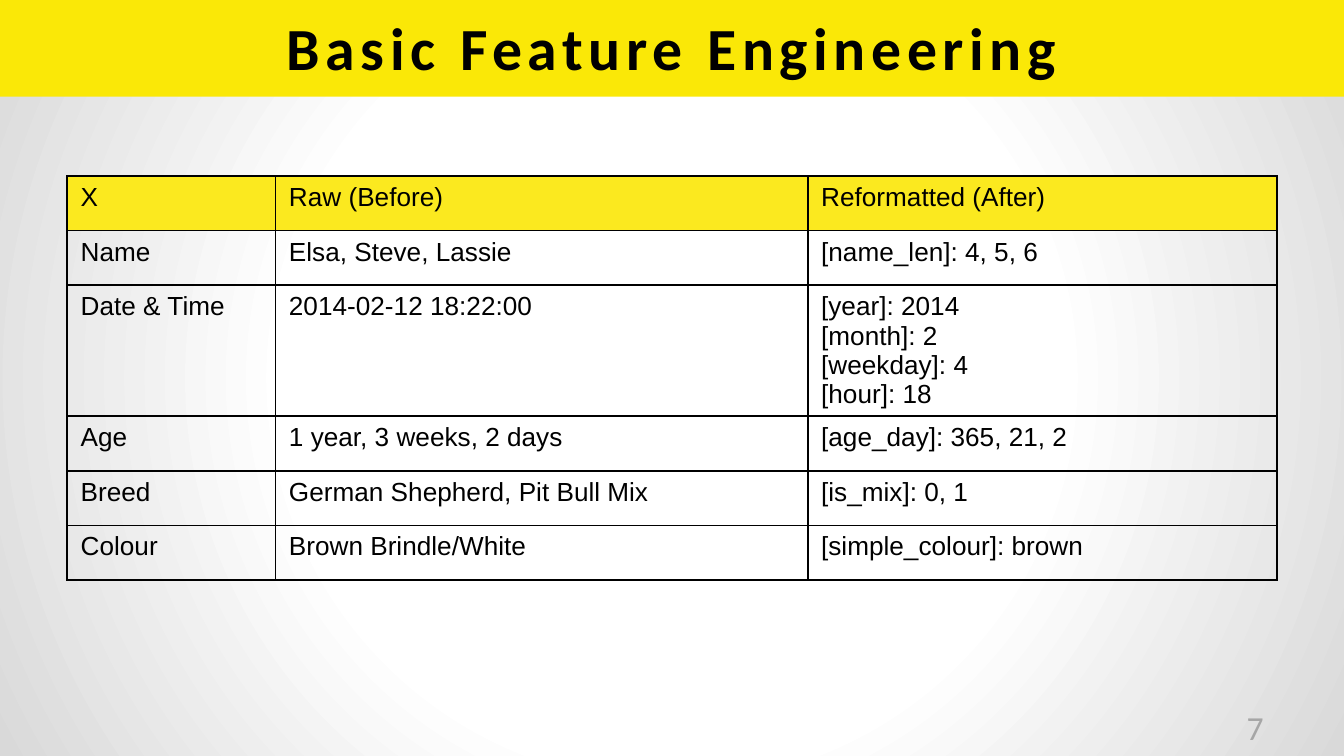
import pptx
import pptx.dml.color
import pptx.enum.shapes
import pptx.enum.text
import pptx.oxml
import pptx.oxml.ns
import pptx.util
from pptx.util import Inches

ALIGN = pptx.enum.text.PP_ALIGN


def color(value):
    return pptx.dml.color.RGBColor.from_string(value)


def add_run(p, text, font, size, value, bold=False):
    r = p.add_run()
    r.text = text
    r.font.name = font
    r.font.size = pptx.util.Pt(size)
    r.font.bold = bold
    r.font.color.rgb = color(value)
    return r


# Widescreen 16:9 slide
prs = pptx.Presentation()
prs.slide_width, prs.slide_height = Inches(10), Inches(10 * 9 / 16)
s = prs.slides.add_slide(prs.slide_layouts[5])
ns = pptx.oxml.ns.nsdecls("a")

# Background: white centre fading to grey at the edges
fill = s.background.fill
fill.gradient()
for stop, (position, value) in zip(fill.gradient_stops, [(0.5, "FFFFFF"), (1, "D9D9D9")]):
    stop.position = position
    stop.color.rgb = color(value)
lin = s.element.find(".//" + pptx.oxml.ns.qn("a:lin"))
lin.getparent().replace(lin, pptx.oxml.parse_xml(
    f'<a:path {ns} path="circle">'
    '<a:fillToRect l="50000" t="50000" r="50000" b="50000"/></a:path>'))

# Title on a yellow band
title = s.shapes.title
band = s.shapes.add_shape(pptx.enum.shapes.MSO_SHAPE.RECTANGLE, 0, 0, prs.slide_width, Inches(0.72))
band.shadow.inherit = False
band.fill.solid()
band.fill.fore_color.rgb = color("FAE807")
band.line.fill.background()
title.element.addprevious(band.element)

title.left, title.top = Inches(0.5), Inches(-0.01)
title.width, title.height = Inches(9), Inches(0.72)
tf = title.text_frame
tf.auto_size = pptx.enum.text.MSO_AUTO_SIZE.NONE
tf.vertical_anchor = pptx.enum.text.MSO_ANCHOR.MIDDLE
p = tf.paragraphs[0]
p.alignment = ALIGN.CENTER
r = add_run(p, "Basic Feature Engineering", "Calibri", 32, "000000", True)
r.font._element.set("spc", "300")

# Feature table
rows = [
    ("X", "Raw (Before)", "Reformatted (After)"),
    ("Name", "Elsa, Steve, Lassie", "[name_len]: 4, 5, 6"),
    ("Date & Time", "2014-02-12 18:22:00",
     "[year]: 2014\n[month]: 2\n[weekday]: 4\n[hour]: 18"),
    ("Age", "1 year, 3 weeks, 2 days", "[age_day]: 365, 21, 2"),
    ("Breed", "German Shepherd, Pit Bull Mix", "[is_mix]: 0, 1"),
    ("Colour", "Brown Brindle/White", "[simple_colour]: brown"),
]
table_height = Inches(2.44)
table = s.shapes.add_table(len(rows), 3, Inches(0.5), Inches(1.31),
                           Inches(9), table_height).table
table.horz_banding = False
table.first_row = False
for column, width in zip(table.columns, (1.55, 3.96, 3.49)):
    column.width = Inches(width)

for i, row in enumerate(rows):
    table.rows[i].height = table_height // len(rows)
    for j, text in enumerate(row):
        cell = table.cell(i, j)
        tcPr = cell._tc.get_or_add_tcPr()
        for side in "LRTB":
            tcPr.append(pptx.oxml.parse_xml(
                f'<a:ln{side} {ns} w="12700"><a:solidFill>'
                f'<a:srgbClr val="000000"/></a:solidFill></a:ln{side}>'))
        if i == 0:
            cell.fill.solid()
            cell.fill.fore_color.rgb = color("FBE91F")
        else:
            cell.fill.background()
        tf = cell.text_frame
        for k, line in enumerate(text.split("\n")):
            p = tf.add_paragraph() if k else tf.paragraphs[0]
            add_run(p, line, "Arial", 14, "000000")

# Slide number
sp = s.shapes.add_textbox(Inches(7.17), Inches(5.21), Inches(2.33), Inches(0.3))
tf = sp.text_frame
tf.word_wrap = True
p = tf.paragraphs[0]
p.alignment = ALIGN.RIGHT
add_run(p, "7", "Calibri", 18, "A6A6A6")

prs.save("out.pptx")
